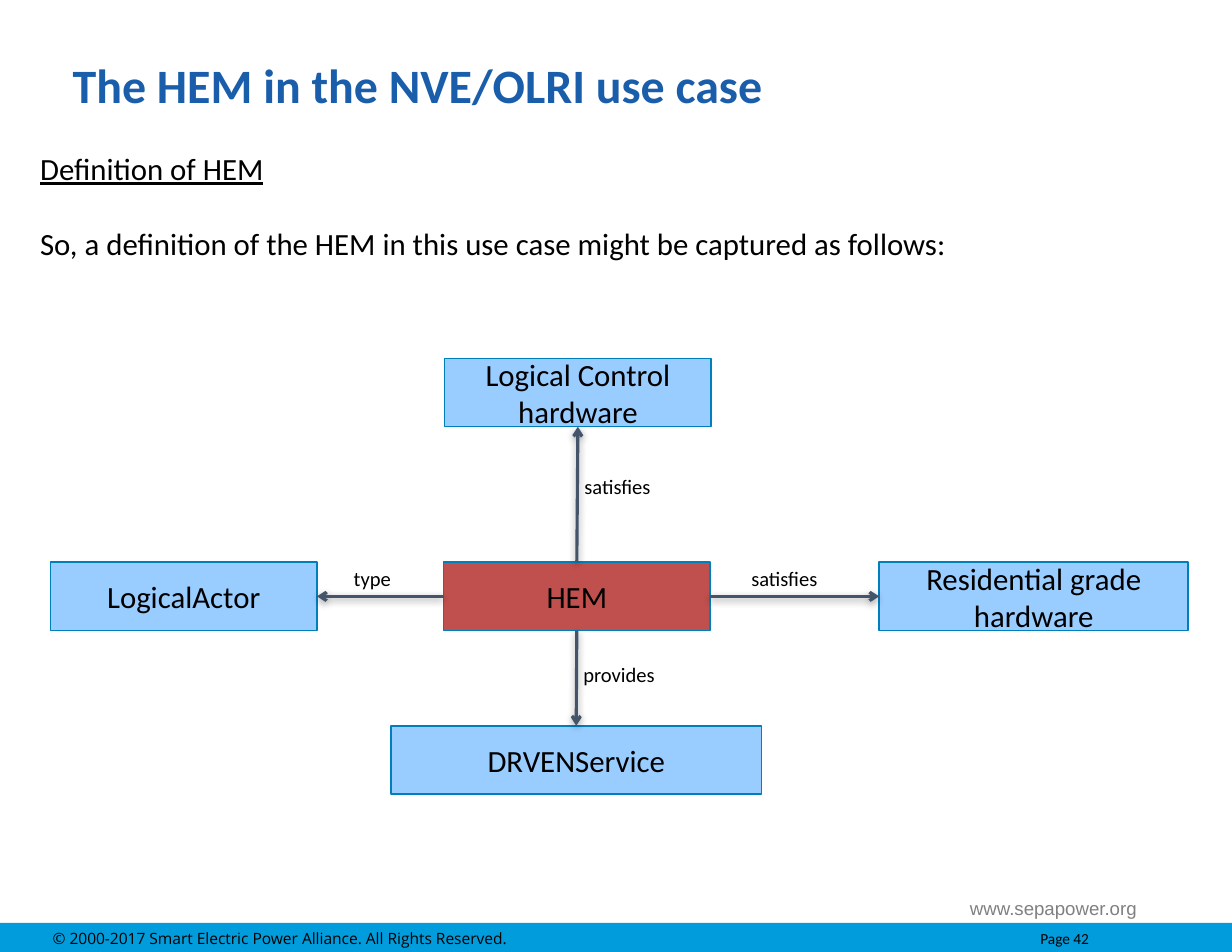
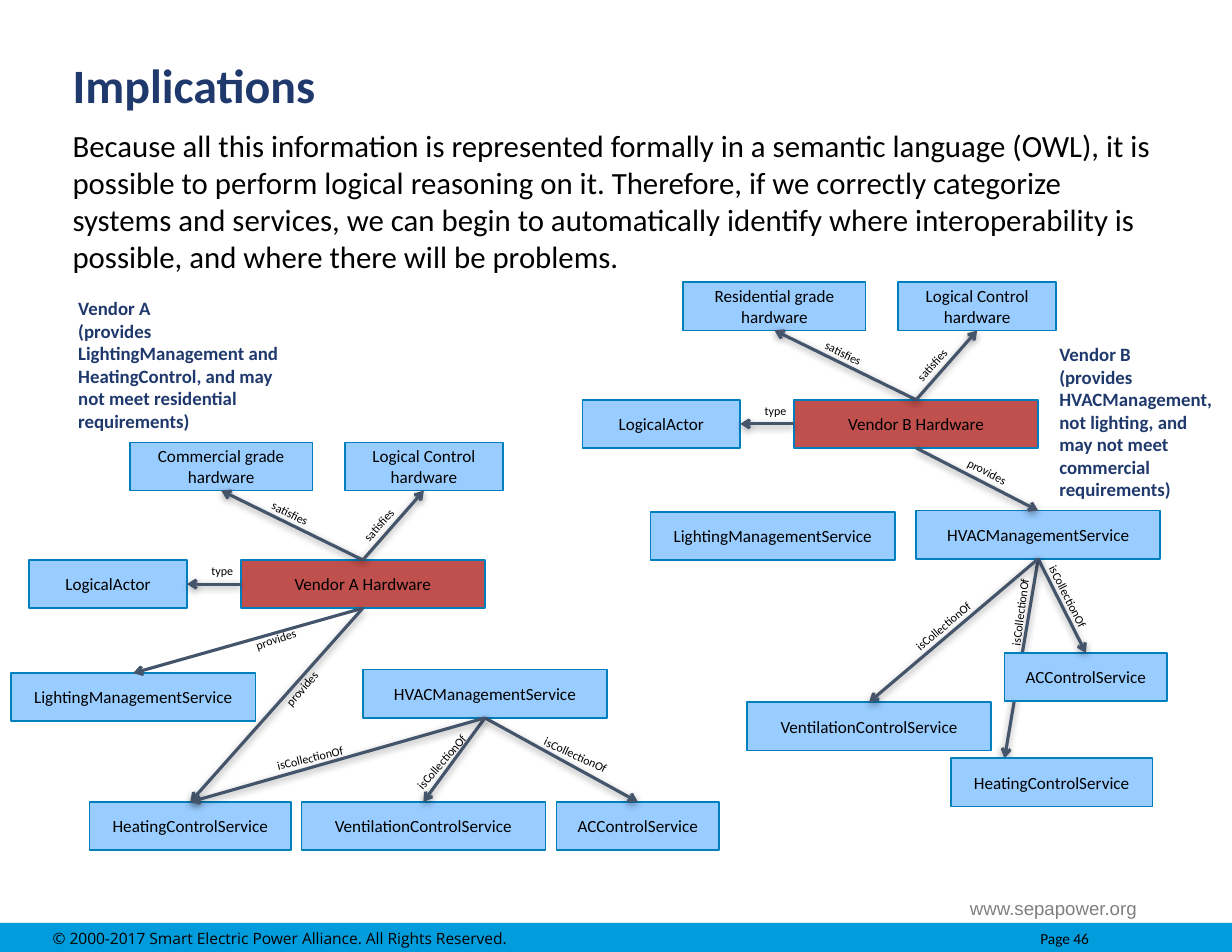
from dataclasses import dataclass

from lxml.etree import SubElement
from pptx import Presentation
from pptx.dml.color import RGBColor
from pptx.enum.shapes import MSO_CONNECTOR, MSO_SHAPE
from pptx.enum.text import MSO_ANCHOR, PP_ALIGN
from pptx.oxml.ns import qn
from pptx.util import Inches, Pt


@dataclass(frozen=True)
class Theme:
    font: str = "Calibri"
    black: str = "000000"
    navy: str = "20396D"
    title_blue: str = "1A5EAB"
    box_blue: str = "99CCFF"
    box_red: str = "C0504D"
    box_line: str = "007FBD"
    arrow: str = "44546A"
    band: str = "019CDB"
    grey: str = "808080"
    title_size: float = 30.8
    body_size: float = 19.8
    vendor_size: float = 12.1
    url_size: float = 12
    copyright_size: float = 10
    page_size: float = 9.9


theme = Theme()
TOP, LEFT, BOTTOM, RIGHT = range(4)  # connection sites of a rectangle

# Text formats; label and box formats exist in a large and a small size
TITLE = {"name": theme.font, "size": Pt(theme.title_size), "bold": True}
BODY = {"name": theme.font, "size": Pt(theme.body_size)}
VENDOR = {"name": theme.font, "size": Pt(theme.vendor_size), "bold": True}
URL = {"name": "Arial", "size": Pt(theme.url_size)}
COPYRIGHT = {"name": "Open Sans", "size": Pt(theme.copyright_size)}
PAGE = {"name": theme.font, "size": Pt(theme.page_size)}
LARGE_LABEL = {"name": theme.font, "size": Pt(13.2)}
SMALL_BOX = {"name": theme.font, "size": Pt(11)}
SMALL_LABEL = {"name": theme.font, "size": Pt(7.7)}


def add_text(slide, place, lines, text_format, color=theme.black, fill=None,
             line=None, anchor=MSO_ANCHOR.MIDDLE, align=PP_ALIGN.LEFT,
             wrap=True, rotation=0):
    """Add a text box, or a rectangle with text when a fill is given."""
    lengths = [Inches(value) for value in place]
    if fill:
        shape = slide.shapes.add_shape(MSO_SHAPE.RECTANGLE, *lengths)
        shape.shadow.inherit = False
        shape.fill.solid()
        shape.fill.fore_color.rgb = RGBColor.from_string(fill)
        if line:
            shape.line.color.rgb = RGBColor.from_string(line)
            shape.line.width = Pt(1)
        else:
            shape.line.fill.background()
    else:
        shape = slide.shapes.add_textbox(*lengths)
    shape.rotation = rotation
    frame = shape.text_frame
    frame.word_wrap = wrap
    frame.vertical_anchor = anchor
    for index, text in enumerate(lines):
        paragraph = frame.add_paragraph() if index else frame.paragraphs[0]
        paragraph.alignment = align
        run = paragraph.add_run()
        run.text = text
        for name, value in text_format.items():
            setattr(run.font, name, value)
        run.font.color.rgb = RGBColor.from_string(color)
    return shape


def add_arrow(slide, start=(0, 0), end=(1, 1), shadow=True):
    """Add a straight arrow with an open head and a soft shadow."""
    connector = slide.shapes.add_connector(
        MSO_CONNECTOR.STRAIGHT, *[Inches(value) for value in (*start, *end)])
    connector.line.color.rgb = RGBColor.from_string(theme.arrow)
    connector.line.width = Pt(2)
    properties = connector._element.spPr
    SubElement(properties.find(qn("a:ln")), qn("a:tailEnd"), type="arrow")
    effects = SubElement(properties, qn("a:effectLst"))
    if shadow:
        outer = SubElement(effects, qn("a:outerShdw"), blurRad=str(Pt(5)),
                           dist=str(Pt(1.6)), dir="5400000", rotWithShape="0")
        tint = SubElement(outer, qn("a:srgbClr"), val=theme.black)
        SubElement(tint, qn("a:alpha"), val="38000")
    return connector


presentation = Presentation()
presentation.slide_width = Inches(11)
presentation.slide_height = Inches(8.5)

# Shared parts: title, web address, footer band
slides = []
for title, title_color, page in [
    ("The HEM in the NVE/OLRI use case", theme.title_blue, "Page 42"),
    ("Implications", theme.navy, "Page 46"),
]:
    slide = presentation.slides.add_slide(presentation.slide_layouts[6])
    slides.append(slide)
    add_text(slide, (0.55, 0.35, 7.82, 0.8), [title], TITLE, title_color)
    add_text(slide, (0.76, 7.88, 9.49, 0.45), ["www.sepapower.org"], URL,
             theme.grey, align=PP_ALIGN.RIGHT)
    band = add_text(
        slide, (0, 8.24, 11, 0.27),
        ["© 2000-2017 Smart Electric Power Alliance. All Rights Reserved."],
        COPYRIGHT, fill=theme.band)
    band.text_frame.margin_left = Inches(0.47)
    paragraph = band.text_frame.paragraphs[0]
    tabs = SubElement(paragraph._p.get_or_add_pPr(), qn("a:tabLst"))
    SubElement(tabs, qn("a:tab"), pos=str(Inches(8.82)), algn="l")
    run = paragraph.add_run()
    run.text = "\t" + page
    for name, value in PAGE.items():
        setattr(run.font, name, value)
    run.font.color.rgb = RGBColor.from_string(theme.black)

definition_slide, implications_slide = slides

# Body text
definition = add_text(
    definition_slide, (0.26, 1.29, 9.72, 1.1),
    ["Definition of HEM",
     "So, a definition of the HEM in this use case might be captured as follows:"],
    BODY, anchor=MSO_ANCHOR.TOP)
heading, sentence = definition.text_frame.paragraphs
heading.runs[0].font.underline = True
sentence.space_before = Pt(24)

add_text(
    implications_slide, (0.55, 1.08, 9.93, 1.43),
    ["Because all this information is represented formally in a semantic "
     "language (OWL), it is possible to perform logical reasoning on it. "
     "Therefore, if we correctly categorize systems and services, we can begin "
     "to automatically identify where interoperability is possible, and where "
     "there will be problems."],
    BODY, anchor=MSO_ANCHOR.TOP)

for place, vendor, note in [
    ((9.36, 3.09, 1.63, 1.35), "Vendor B",
     "(provides HVACManagement, not lighting, and may not meet commercial "
     "requirements)"),
    ((0.6, 2.55, 2.16, 1.41), "Vendor A",
     "(provides LightingManagement and HeatingControl, and may not meet "
     "residential requirements)"),
]:
    add_text(implications_slide, place, [vendor, note], VENDOR, theme.navy)

# Definition diagram: boxes as name: (left, top, width)
definition_boxes = {
    "Residential grade hardware": (7.85, 5.02, 2.76),
    "Logical Control hardware": (3.97, 3.2, 2.38),
    "HEM": (3.96, 5.02, 2.38),
    "DRVENService": (3.49, 6.48, 3.31),
    "LogicalActor": (0.45, 5.02, 2.38),
}
# Arrows: source, site, target, site
definition_arrows = [
    ("HEM", TOP, "Logical Control hardware", BOTTOM),
    ("HEM", RIGHT, "Residential grade hardware", LEFT),
    ("HEM", BOTTOM, "DRVENService", TOP),
    ("HEM", LEFT, "LogicalActor", RIGHT),
]
# Labels: text, left, top, rotation
definition_labels = [
    ("satisfies", 5.12, 4.18, 0), ("satisfies", 6.61, 5, 0),
    ("type", 3.06, 5, 0), ("provides", 5.11, 5.86, 0),
]
large = {"box": BODY, "height": 0.61, "label": LARGE_LABEL, "label_height": 0.32,
         "widths": {"type": 0.54, "satisfies": 0.8, "provides": 0.84}}
small = {"box": SMALL_BOX, "height": 0.43, "label": SMALL_LABEL,
         "label_height": 0.23,
         "widths": {"type": 0.4, "satisfies": 0.55, "provides": 0.58,
                    "isCollectionOf": 0.82}}
diagrams = [(definition_slide, large, "HEM", definition_boxes,
             definition_arrows, definition_labels)]

# Vendor diagrams: the same hardware group, shifted, above different services
service_widths = {"LightingManagementService": 2.18, "HVACManagementService": 2.18,
                  "VentilationControlService": 2.18, "HeatingControlService": 1.8,
                  "ACControlService": 1.45}
vendors = [
    ("Vendor A Hardware", "Commercial grade hardware", 0, 0,
     [(0.1, 6.01), (3.24, 5.98), (2.69, 7.16), (0.8, 7.16), (4.97, 7.16)],
     ["LightingManagementService", "HeatingControlService"],
     ["ACControlService", "VentilationControlService", "HeatingControlService"],
     [("provides", 2.18, 5.59, 341.7), ("provides", 2.41, 6.03, 311.2),
      ("isCollectionOf", 4.74, 6.63, 24.9), ("isCollectionOf", 3.54, 6.68, 310.9),
      ("isCollectionOf", 2.37, 6.65, 346.5)]),
    ("Vendor B Hardware", "Residential grade hardware", 4.94, -1.43,
     [(5.81, 4.57), (8.18, 4.56), (6.67, 6.27), (8.49, 6.77), (8.97, 5.83)],
     ["HVACManagementService"],
     ["ACControlService", "VentilationControlService"],
     [("provides", 8.53, 4.1, 27.8), ("isCollectionOf", 9.13, 5.22, 63.1),
      ("isCollectionOf", 8.02, 5.47, 319.7),
      ("isCollectionOf", 8.7, 5.34, 277.5)]),
]
for hardware, grade, right, down, service_places, provided, parts, labels in vendors:
    boxes = {
        hardware: (2.15 + right, 5 + down, 2.18),
        "LogicalActor": (0.26 + right, 5 + down, 1.41),
        grade: (1.16 + right, 3.95 + down, 1.63),
        "Logical Control hardware": (3.08 + right, 3.95 + down, 1.41),
    }
    for (service, width), place in zip(service_widths.items(), service_places):
        boxes[service] = (*place, width)
    arrows = [(hardware, LEFT, "LogicalActor", RIGHT),
              (hardware, TOP, grade, BOTTOM),
              (hardware, TOP, "Logical Control hardware", BOTTOM)]
    arrows += [(hardware, BOTTOM, service, TOP) for service in provided]
    arrows += [("HVACManagementService", BOTTOM, part, TOP) for part in parts]
    group_labels = [("type", 1.79, 4.98, 0), ("satisfies", 2.32, 4.47, 26),
                    ("satisfies", 3.11, 4.57, 311.7)]
    labels = labels + [(text, x + right, y + down, rotation)
                       for text, x, y, rotation in group_labels]
    diagrams.append((implications_slide, small, hardware, boxes, arrows, labels))

# This arrow passes behind the ACControlService box of vendor B
add_arrow(implications_slide, (9.27, 4.99), (8.97, 6.77))

# Draw the diagrams
for slide, style, center, boxes, arrows, labels in diagrams:
    shapes = {}
    for name, (left, top, width) in boxes.items():
        shapes[name] = add_text(
            slide, (left, top, width, style["height"]), [name], style["box"],
            fill=theme.box_red if name == center else theme.box_blue,
            line=theme.box_line, align=PP_ALIGN.CENTER)
    for source, source_site, target, target_site in arrows:
        arrow = add_arrow(slide, shadow=target != "LightingManagementService")
        arrow.begin_connect(shapes[source], source_site)
        arrow.end_connect(shapes[target], target_site)
    for text, left, top, rotation in labels:
        add_text(slide, (left, top, style["widths"][text], style["label_height"]),
                 [text], style["label"], anchor=MSO_ANCHOR.TOP, wrap=False,
                 rotation=rotation)

presentation.save("out.pptx")
